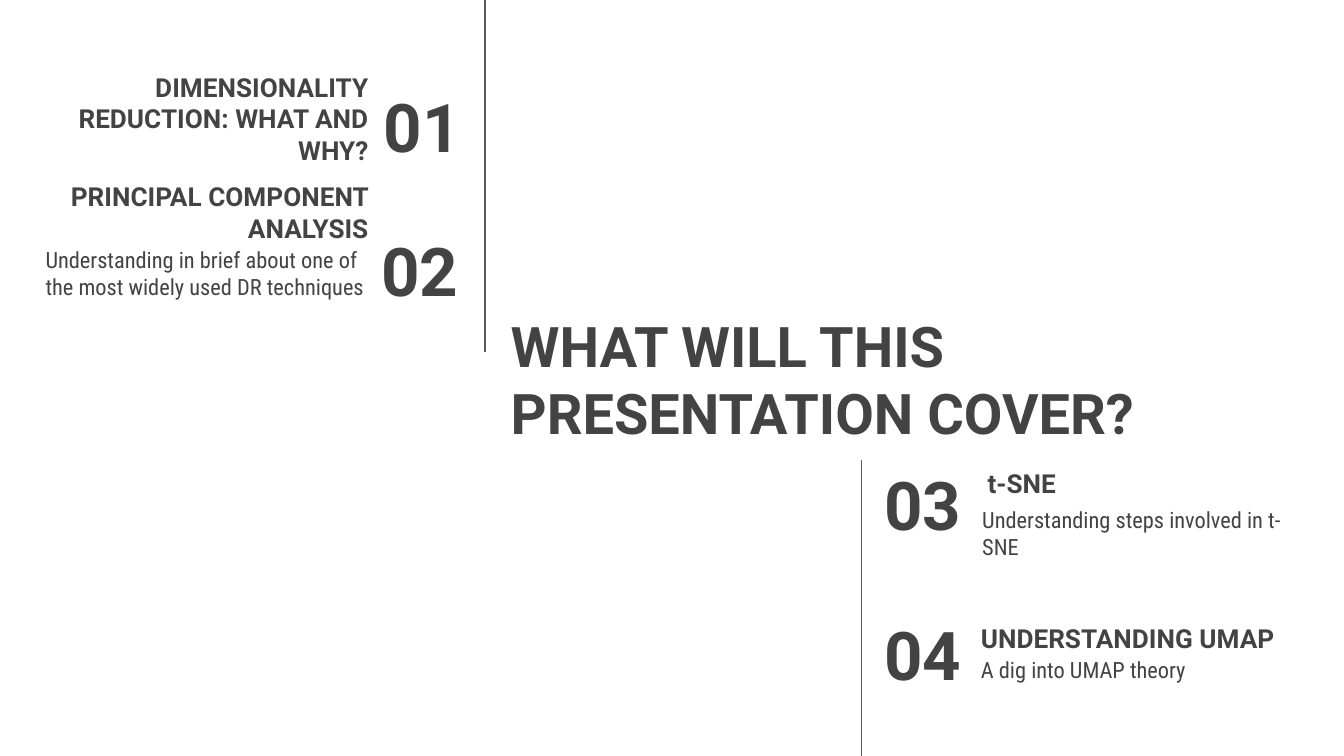
from dataclasses import dataclass

from lxml.etree import SubElement
from pptx import Presentation
from pptx.dml.color import RGBColor
from pptx.enum.shapes import MSO_CONNECTOR as Connector
from pptx.enum.text import MSO_ANCHOR as Anchor, MSO_AUTO_SIZE as AutoSize, PP_ALIGN as Align
from pptx.oxml.ns import qn
from pptx.util import Pt


@dataclass(frozen=True)
class Style:
    size: float
    font: str
    bold: bool
    anchor: Anchor


@dataclass(frozen=True)
class Theme:
    ink: RGBColor = RGBColor(0x43, 0x43, 0x43)
    rule: RGBColor = RGBColor(0x59, 0x59, 0x59)
    paper: RGBColor = RGBColor(0xFF, 0xFF, 0xFF)
    rule_width: float = 0.75
    inset: float = 7.2
    title: Style = Style(30, "Roboto", True, Anchor.MIDDLE)
    number: Style = Style(36, "Roboto", True, Anchor.MIDDLE)
    heading: Style = Style(14, "Roboto", True, Anchor.BOTTOM)
    detail: Style = Style(12, "Roboto Condensed", False, Anchor.TOP)


@dataclass(frozen=True)
class Box:
    left: float
    top: float
    width: float
    height: float = 45.4


@dataclass(frozen=True)
class Topic:
    number: str
    number_box: Box
    heading: str
    heading_box: Box
    align: Align
    detail: str = ""
    detail_box: Box | None = None


THEME = Theme()
WIDTH, HEIGHT = 720, 405

TOPICS = [
    Topic("01", Box(167, 44.6, 87.1),
          "DIMENSIONALITY REDUCTION: WHAT AND WHY?", Box(18, 50.4, 186.5), Align.RIGHT),
    Topic("02", Box(165.6, 121.7, 87.1),
          "PRINCIPAL COMPONENT ANALYSIS", Box(-8.6, 92.2, 213.1), Align.RIGHT,
          "Understanding in brief about one of the most widely used DR techniques",
          Box(17.3, 124.6, 186.5)),
    Topic("03", Box(466.6, 247, 84.2),
          "t-SNE", Box(522, 229, 155.5), Align.LEFT,
          "Understanding steps involved in t-SNE", Box(519.1, 264.2, 186.5)),
    Topic("04", Box(466.6, 327.6, 84.2),
          "UNDERSTANDING UMAP", Box(518.4, 311.8, 175.7), Align.LEFT,
          "A dig into UMAP theory", Box(518.4, 344.2, 131.8)),
]


def write_text(shape, text: str, style: Style, align: Align = Align.LEFT) -> None:
    frame = shape.text_frame
    frame.text = text
    frame.word_wrap = True
    frame.auto_size = AutoSize.NONE
    frame.vertical_anchor = style.anchor
    frame.margin_left = frame.margin_right = Pt(THEME.inset)
    frame.margin_top = frame.margin_bottom = Pt(THEME.inset)
    paragraph = frame.paragraphs[0]
    paragraph.alignment = align
    font = paragraph.font
    font.name, font.size, font.bold = style.font, Pt(style.size), style.bold
    font.color.rgb = THEME.ink


def add_text(slide, box: Box, text: str, style: Style, align: Align = Align.LEFT) -> None:
    shape = slide.shapes.add_textbox(Pt(box.left), Pt(box.top), Pt(box.width), Pt(box.height))
    write_text(shape, text, style, align)


def add_title(slide, box: Box, text: str) -> None:
    title = slide.shapes.title
    title.left, title.top = Pt(box.left), Pt(box.top)
    title.width, title.height = Pt(box.width), Pt(box.height)
    write_text(title, text, THEME.title)


def add_topic(slide, topic: Topic) -> None:
    add_text(slide, topic.number_box, topic.number, THEME.number, topic.align)
    add_text(slide, topic.heading_box, topic.heading, THEME.heading, topic.align)
    if topic.detail_box:
        add_text(slide, topic.detail_box, topic.detail, THEME.detail)


def add_rule(slide, x: float, top: float, bottom: float) -> None:
    rule = slide.shapes.add_connector(Connector.STRAIGHT, Pt(x), Pt(top), Pt(x), Pt(bottom))
    rule.line.color.rgb = THEME.rule
    rule.line.width = Pt(THEME.rule_width)
    SubElement(rule._element.spPr, qn("a:effectLst"))


def main() -> None:
    presentation = Presentation()
    presentation.slide_width, presentation.slide_height = Pt(WIDTH), Pt(HEIGHT)
    slide = presentation.slides.add_slide(presentation.slide_layouts[5])
    slide.background.fill.solid()
    slide.background.fill.fore_color.rgb = THEME.paper

    # Title in the middle
    add_title(slide, Box(266.4, 165.6, 362.2, 74.2), "WHAT WILL THIS PRESENTATION COVER?")

    # Numbered topics
    for topic in TOPICS:
        add_topic(slide, topic)

    # Vertical rules running to the slide edges
    add_rule(slide, 259.9, 0, 188.6)
    add_rule(slide, 461.5, 246.2, HEIGHT)

    presentation.save("out.pptx")


if __name__ == "__main__":
    main()
